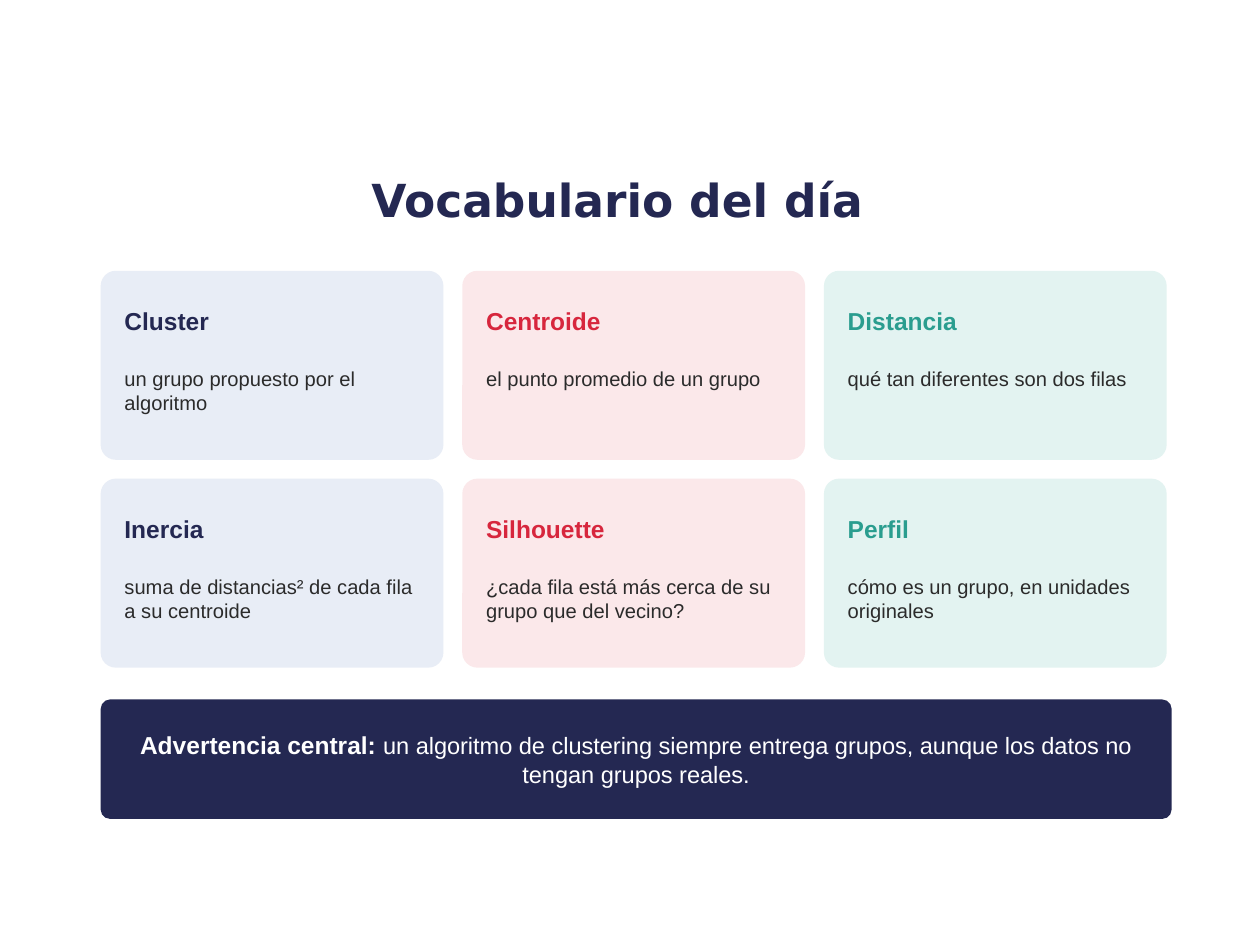
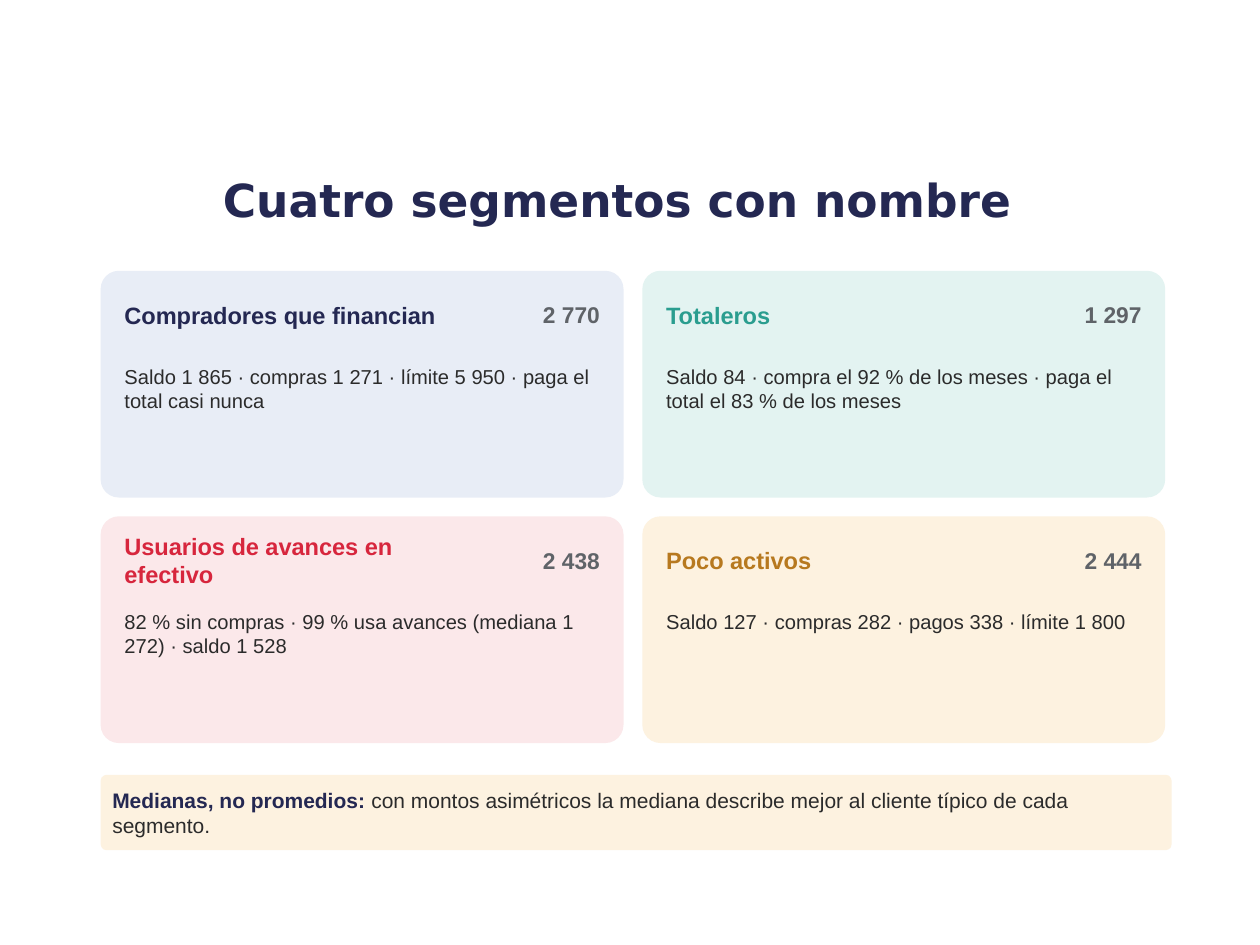
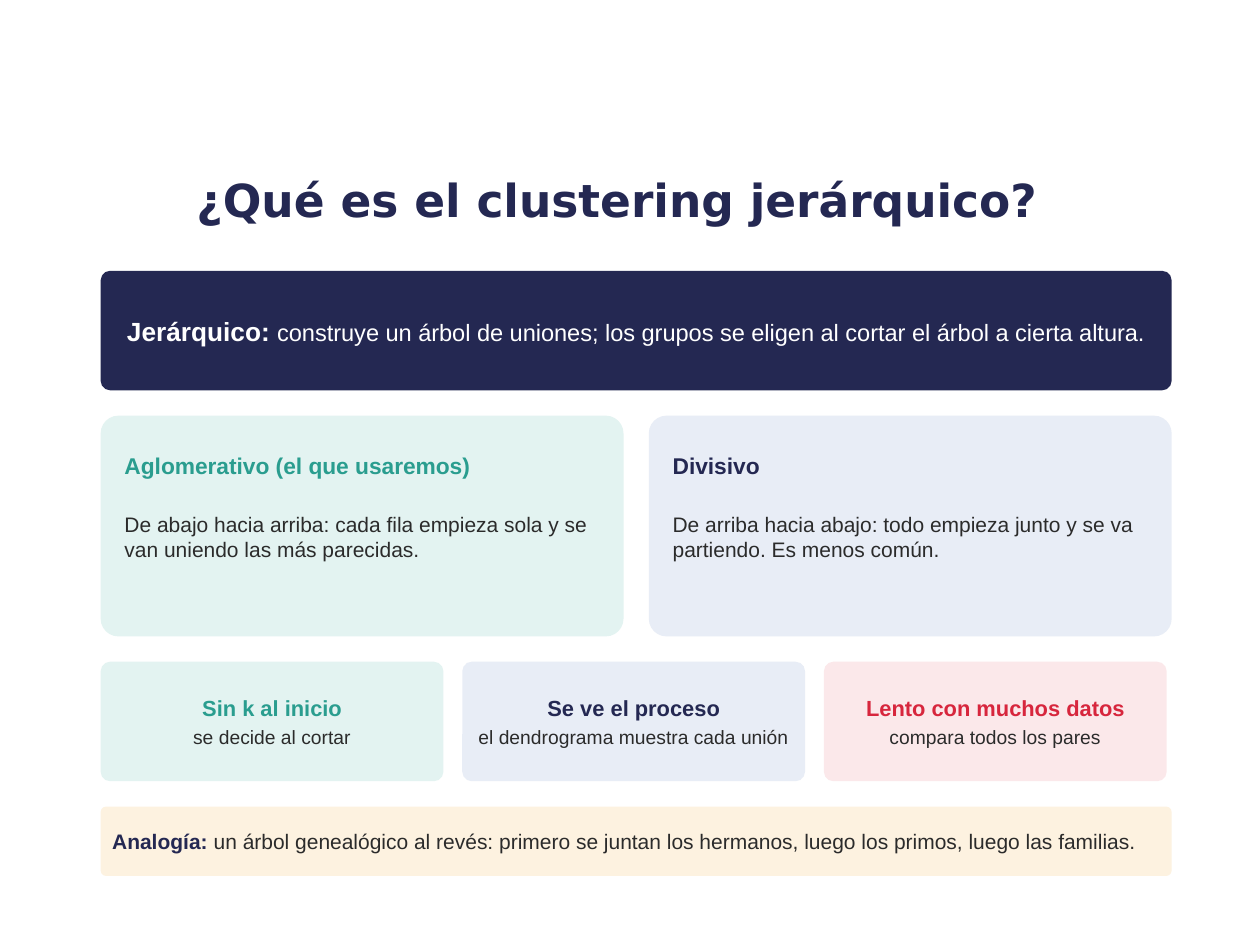
import pptx
import pptx.util
import pptx.dml.color
import pptx.enum.shapes
import pptx.enum.text

Cm = pptx.util.Cm
Pt = pptx.util.Pt
RGBColor = pptx.dml.color.RGBColor
ALIGN = pptx.enum.text.PP_ALIGN
ANCHOR = pptx.enum.text.MSO_ANCHOR
ROUND = pptx.enum.shapes.MSO_SHAPE.ROUNDED_RECTANGLE

NAVY = RGBColor(0x24, 0x28, 0x52)
RED = RGBColor(0xD7, 0x26, 0x3D)
GREEN = RGBColor(0x2A, 0x9D, 0x8F)
AMBER = RGBColor(0xB7, 0x79, 0x1F)
DARK = RGBColor(0x2B, 0x2B, 0x2B)
GREY = RGBColor(0x5F, 0x63, 0x68)
WHITE = RGBColor(0xFF, 0xFF, 0xFF)
ICE = RGBColor(0xE8, 0xED, 0xF6)
ROSE = RGBColor(0xFB, 0xE8, 0xEA)
MINT = RGBColor(0xE3, 0xF3, 0xF1)
CREAM = RGBColor(0xFD, 0xF2, 0xE0)

LEFT = 2.03
TOP = 5.46
WIDE = 21.59
HALF = 10.54
THIRD = 6.91
GAP = 0.38
BAND = 2.41


def write(page, x, y, w, h, *lines, fill=None, size=12, ink=DARK, bold=False,
          align=ALIGN.LEFT, anchor=ANCHOR.MIDDLE, pad=0.1, after=4, font="Arial"):
    place = Cm(x), Cm(y), Cm(w), Cm(h)
    if fill is None:
        box = page.shapes.add_textbox(*place)
    else:
        box = page.shapes.add_shape(ROUND, *place)
        box.adjustments[0] = 0.08
        box.shadow.inherit = False
        box.fill.solid()
        box.fill.fore_color.rgb = fill
        box.line.fill.background()
    frame = box.text_frame
    frame.word_wrap = True
    frame.vertical_anchor = anchor
    frame.margin_left = frame.margin_right = Cm(pad)
    frame.margin_top = frame.margin_bottom = Cm(pad)
    for row, line in enumerate(lines):
        para = frame.add_paragraph() if row else frame.paragraphs[0]
        para.alignment = align
        para.space_after = Pt(after)
        runs = [(line, size, ink, bold)] if isinstance(line, str) else line
        for words, points, tint, heavy in runs:
            run = para.add_run()
            run.text = words
            run.font.name = font
            run.font.size = Pt(points)
            run.font.bold = heavy
            run.font.color.rgb = tint


def card(page, x, y, w, h, fill, ink, head, body, size, small, count=None):
    write(page, x, y, w, h, fill=fill)
    inset = x + GAP
    rise, high, drop, room = 0.3, 1.4, 1.83, w - 0.63
    if count:
        rise, high, drop, room = 0.25, 1.27, 1.78, 7.37
        write(page, x + w - GAP - 2.54, y + rise, 2.54, high, count,
              size=13, ink=GREY, bold=True, align=ALIGN.RIGHT)
    write(page, inset, y + rise, room, high, head, size=size, ink=ink, bold=True)
    write(page, inset, y + drop, w - 2 * GAP, h - 2.03, body,
          size=small, anchor=ANCHOR.TOP)


deck = pptx.Presentation()
deck.slide_width = Cm(25.4)
deck.slide_height = Cm(19.05)

pages = []
for title in ("Vocabulario del día", "Cuatro segmentos con nombre",
              "¿Qué es el clustering jerárquico?"):
    page = deck.slides.add_slide(deck.slide_layouts[6])
    write(page, 1.91, 3, 21.08, 2.03, title, size=26, ink=NAVY, bold=True,
          align=ALIGN.CENTER, after=0, font="DejaVu Sans")
    pages.append(page)
vocab, groups, tree = pages

terms = [
    (ICE, NAVY, "Cluster", "un grupo propuesto por el algoritmo"),
    (ROSE, RED, "Centroide", "el punto promedio de un grupo"),
    (MINT, GREEN, "Distancia", "qué tan diferentes son dos filas"),
    (ICE, NAVY, "Inercia", "suma de distancias² de cada fila a su centroide"),
    (ROSE, RED, "Silhouette", "¿cada fila está más cerca de su grupo que del vecino?"),
    (MINT, GREEN, "Perfil", "cómo es un grupo, en unidades originales"),
]
for i, term in enumerate(terms):
    row, col = divmod(i, 3)
    card(vocab, LEFT + col * (THIRD + GAP), TOP + row * (3.81 + GAP),
         THIRD, 3.81, *term, size=14, small=11.5)

segments = [
    (ICE, NAVY, "Compradores que financian",
     "Saldo 1 865 · compras 1 271 · límite 5 950 · paga el total casi nunca", "2 770"),
    (MINT, GREEN, "Totaleros",
     "Saldo 84 · compra el 92 % de los meses · paga el total el 83 % de los meses", "1 297"),
    (ROSE, RED, "Usuarios de avances en efectivo",
     "82 % sin compras · 99 % usa avances (mediana 1 272) · saldo 1 528", "2 438"),
    (CREAM, AMBER, "Poco activos",
     "Saldo 127 · compras 282 · pagos 338 · límite 1 800", "2 444"),
]
for i, (fill, ink, head, body, count) in enumerate(segments):
    row, col = divmod(i, 2)
    card(groups, LEFT + col * (HALF + GAP), TOP + row * (4.57 + GAP),
         HALF, 4.57, fill, ink, head, body, size=13.5, small=11.5, count=count)

kinds = [
    (MINT, GREEN, "Aglomerativo (el que usaremos)",
     "De abajo hacia arriba: cada fila empieza sola y se van uniendo las más parecidas."),
    (ICE, NAVY, "Divisivo",
     "De arriba hacia abajo: todo empieza junto y se va partiendo. Es menos común."),
]
for col, kind in enumerate(kinds):
    card(tree, LEFT + col * (WIDE - HALF), 8.38, HALF, 4.45, *kind, size=13, small=12)

traits = [
    (MINT, GREEN, "Sin k al inicio", "se decide al cortar"),
    (ICE, NAVY, "Se ve el proceso", "el dendrograma muestra cada unión"),
    (ROSE, RED, "Lento con muchos datos", "compara todos los pares"),
]
for col, (fill, ink, head, body) in enumerate(traits):
    write(tree, LEFT + col * (THIRD + GAP), 13.34, THIRD, BAND,
          [(head, 12.5, ink, True)], [(body, 11, DARK, False)],
          fill=fill, align=ALIGN.CENTER, pad=0.2, after=3)

bands = [
    (vocab, 14.1, BAND, NAVY, WHITE, WHITE, 14, 13.5, ALIGN.CENTER, "Advertencia central: ",
     "un algoritmo de clustering siempre entrega grupos, aunque los datos no tengan grupos reales."),
    (groups, 15.62, 1.52, CREAM, NAVY, DARK, 12, 12, ALIGN.LEFT, "Medianas, no promedios: ",
     "con montos asimétricos la mediana describe mejor al cliente típico de cada segmento."),
    (tree, TOP, BAND, NAVY, WHITE, WHITE, 15, 13.5, ALIGN.CENTER, "Jerárquico: ",
     "construye un árbol de uniones; los grupos se eligen al cortar el árbol a cierta altura."),
    (tree, 16.26, 1.4, CREAM, NAVY, DARK, 12, 12, ALIGN.LEFT, "Analogía: ",
     "un árbol genealógico al revés: primero se juntan los hermanos, luego los primos, "
     "luego las familias."),
]
for page, y, h, fill, ink, tint, size, small, align, head, body in bands:
    write(page, LEFT, y, WIDE, h, [(head, size, ink, True), (body, small, tint, False)],
          fill=fill, align=align, pad=0.2, after=3)

deck.save("out.pptx")
